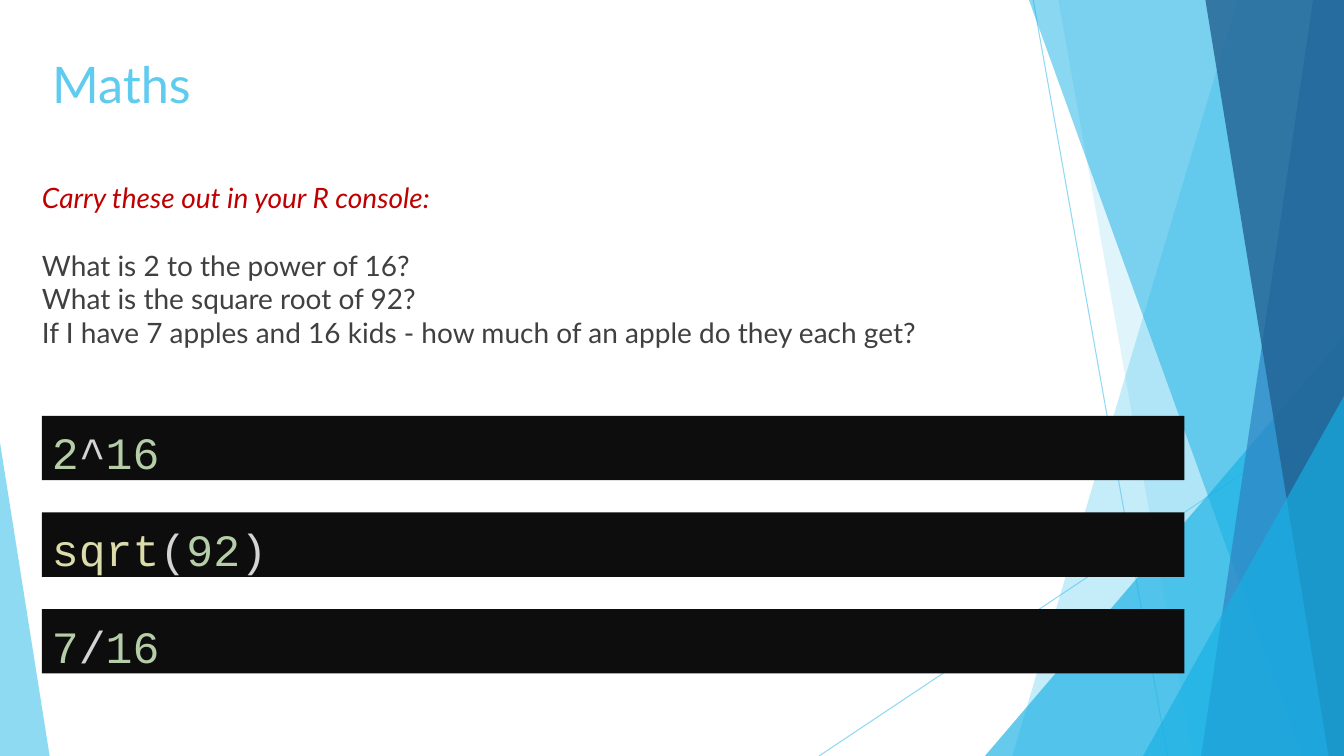
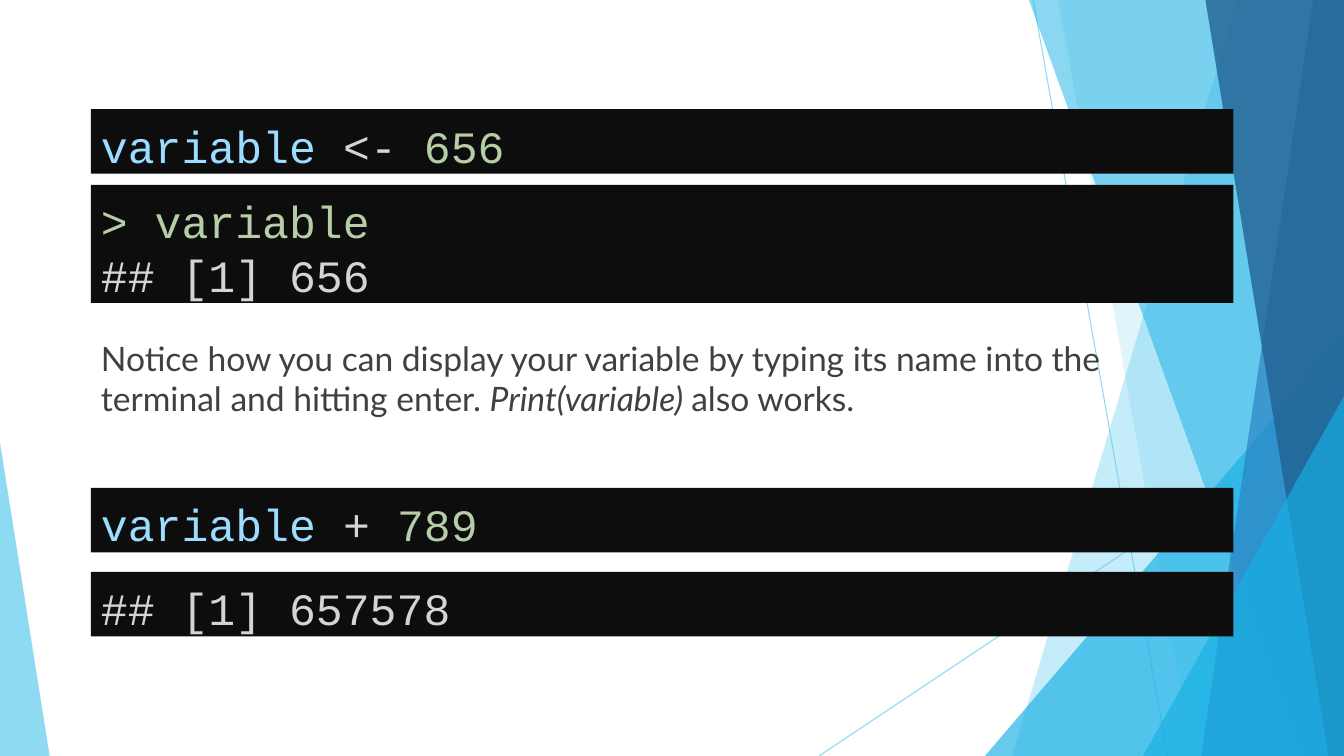
"""Build two R lesson slides: maths in the console and displaying a variable."""
from lxml.etree import SubElement
from pptx import Presentation
from pptx.dml.color import RGBColor
from pptx.enum.shapes import MSO_CONNECTOR as Connector, MSO_SHAPE as Shape
from pptx.enum.text import MSO_ANCHOR as Anchor, MSO_AUTO_SIZE as AutoSize, PP_ALIGN as Align
from pptx.oxml.ns import qn
from pptx.util import Pt

COLOURS = {
    "sky": "5FCBEF", "cyan": "17B0E4", "blue": "2E83C3", "navy": "226292",
    "white": "FFFFFF", "panel": "0D0D0D", "text": "404040", "prompt": "C00000",
    "number": "B5CEA8", "operator": "D4D4D4", "function": "DCDCAA", "name": "9CDCFE",
}
RGB = {name: RGBColor.from_string(value) for name, value in COLOURS.items()}
WIDTH, HEIGHT = 960, 540
LINE_PITCH = 38.4


def fade(part, opacity):
    colour = part.element.find(".//" + qn("a:srgbClr"))
    SubElement(colour, qn("a:alpha"), val=str(opacity * 1000))


def add_run(paragraph, text, colour, size, font="Lato", italic=False):
    run = paragraph.add_run()
    run.text = text
    run.font.name = font
    run.font.size = Pt(size)
    run.font.italic = italic
    run.font.color.rgb = RGB[colour]


deck = Presentation()
deck.slide_width, deck.slide_height = Pt(WIDTH), Pt(HEIGHT)
maths = deck.slides.add_slide(deck.slide_layouts[1])
variables = deck.slides.add_slide(deck.slide_layouts[6])

backdrop = maths.shapes.add_group_shape()
for ends in [(738, 0, 834, HEIGHT), (WIDTH, 290, 585, HEIGHT)]:
    ray = backdrop.shapes.add_connector(Connector.STRAIGHT, *map(Pt, ends))
    ray.line.color.rgb = RGB["sky"]
    ray.line.width = Pt(0.75)
    fade(ray, 70)
    SubElement(ray.element.spPr, qn("a:effectLst"))

# fmt: off
facets = [
    ("sky", 36, (884, 723)),
    ("sky", 20, (756, 852)),
    ("cyan", 66, (703.5, 240, 256.5, 1)),
    ("cyan", 50, (735, 930)),
    ("blue", 70, (938, 858)),
    ("navy", 80, (861, 949)),
    ("cyan", 66, (816.5, 283, 143.5, 1)),
    ("sky", 70, (0, 316, 35.5, 0)),
]
for colour, opacity, outline in facets:
    if len(outline) == 2:
        top_x, bottom_x = outline
        corners = [(WIDTH, 0), (WIDTH, HEIGHT), (bottom_x, HEIGHT)]
        builder = backdrop.shapes.build_freeform(Pt(top_x), 0)
        builder.add_line_segments([(Pt(x), Pt(y)) for x, y in corners])
        facet = builder.convert_to_shape()
    else:
        left, top, width, lean = outline
        facet = backdrop.shapes.add_shape(
            Shape.ISOSCELES_TRIANGLE, Pt(left), Pt(top), Pt(width), Pt(HEIGHT - top))
        facet.adjustments[0] = lean
    facet.fill.solid()
    facet.fill.fore_color.rgb = RGB[colour]
    facet.line.fill.background()
    facet.shadow.inherit = False
    fade(facet, opacity)

for number, properties in enumerate(backdrop.element.iter(qn("p:cNvPr")), 100):
    properties.set("id", str(number))
deck.slide_master.shapes.element.insert(2, backdrop.element)

title = maths.shapes.title
title.left, title.top, title.width, title.height = Pt(30), Pt(34), Pt(828), Pt(104)
title.text_frame.auto_size = AutoSize.NONE
title.text_frame.vertical_anchor = Anchor.TOP
heading = title.text_frame.paragraphs[0]
heading.alignment = Align.LEFT
add_run(heading, "Maths", "sky", 36)

questions = maths.placeholders[1]
questions.left, questions.top, questions.width, questions.height = Pt(30), Pt(129), Pt(716), Pt(127)
questions.fill.solid()
questions.fill.fore_color.rgb = RGB["white"]
frame = questions.text_frame
frame.auto_size = AutoSize.NONE
frame.vertical_anchor = Anchor.MIDDLE
frame.margin_left = frame.margin_top = 0
frame.margin_right, frame.margin_bottom = Pt(60), Pt(6.5)
exercise = [
    ("Carry these out in your R console:", "prompt", True, 24),
    ("What is 2 to the power of 16?", "text", False, 0),
    ("What is the square root of 92?", "text", False, 0),
    ("If I have 7 apples and 16 kids - how much of an apple do they each get?", "text", False, 0),
]
for index, (text, colour, italic, gap) in enumerate(exercise):
    line = frame.add_paragraph() if index else frame.paragraphs[0]
    line.space_before, line.space_after = Pt(0), Pt(gap)
    bullet = line._p.get_or_add_pPr()
    bullet.set("marL", "0")
    bullet.set("indent", "0")
    SubElement(bullet, qn("a:buNone"))
    add_run(line, text, colour, 20, italic=italic)

note = variables.shapes.add_textbox(Pt(65), Pt(237.5), Pt(816), Pt(65.5)).text_frame
note.word_wrap = True
for text, italic in [
    ("Notice how you can display your variable by typing its name into the "
     "terminal and hitting enter. ", False),
    ("Print(variable) ", True),
    ("also works.", False),
]:
    add_run(note.paragraphs[0], text, "text", 24, italic=italic)

sums = [
    [("2", "number"), ("^", "operator"), ("16", "number")],
    [("sqrt", "function"), ("(", "operator"), ("92", "number"), (")", "operator")],
    [("7", "number"), ("/", "operator"), ("16", "number")],
]
snippets = [(maths, 30, 297 + 69 * row, [tokens]) for row, tokens in enumerate(sums)]
snippets += [
    (variables, 65, 78, [[("variable", "name"), (" <- ", "operator"), ("656", "number")]]),
    (variables, 65, 132, [[("> variable", "number")], [("## [1] 656", "operator")]]),
    (variables, 65, 348.5, [[("variable", "name"), (" + ", "operator"), ("789", "number")]]),
    (variables, 65, 408.5, [[("## [1] 657578", "operator")]]),
]
for slide, left, top, code in snippets:
    panel = slide.shapes.add_shape(
        Shape.RECTANGLE, Pt(left), Pt(top), Pt(816), Pt(7.6 + LINE_PITCH * len(code)))
    panel.fill.solid()
    panel.fill.fore_color.rgb = RGB["panel"]
    panel.line.fill.background()
    panel.shadow.inherit = False
    frame = panel.text_frame
    frame.word_wrap = True
    frame.vertical_anchor = Anchor.TOP
    frame.margin_top, frame.margin_bottom = Pt(6.6), Pt(0.6)
    for index, tokens in enumerate(code):
        line = frame.add_paragraph() if index else frame.paragraphs[0]
        line.alignment = Align.LEFT
        line.line_spacing = Pt(LINE_PITCH)
        for text, colour in tokens:
            add_run(line, text, colour, 32, "Courier New")

deck.save("out.pptx")
